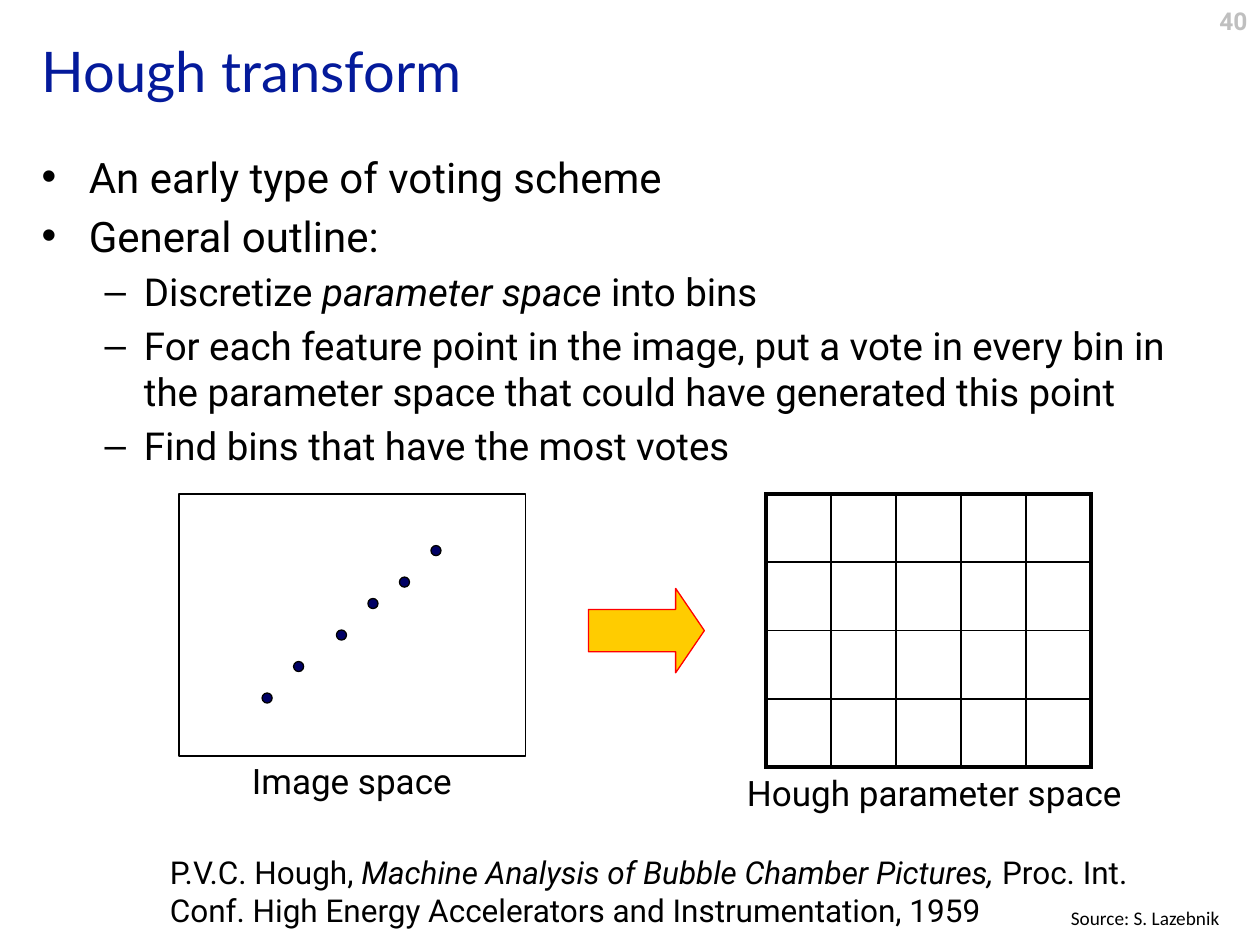
from lxml.etree import SubElement
from pptx import Presentation
from pptx.dml.color import RGBColor
from pptx.enum.shapes import MSO_SHAPE as Preset
from pptx.enum.text import MSO_ANCHOR as Anchor, MSO_AUTO_SIZE as AutoSize, PP_ALIGN as Align
from pptx.oxml.ns import qn
from pptx.util import Inches, Pt


def color(hex_string):
    return RGBColor.from_string(hex_string)


def write(paragraph, text, size=18, font="Roboto", fill="000000", bold=False, italic=False):
    run = paragraph.add_run()
    run.text = text
    run.font.size = Pt(size)
    run.font.name = font
    run.font.bold = bold
    run.font.italic = italic
    run.font.color.rgb = color(fill)


class SlideBuilder:
    ink = "000000"
    thin, thick = 1, 2.25

    def __init__(self, slide):
        self.slide = slide

    def place(self, holder, left, top, width, height):
        holder.left, holder.top = Inches(left), Inches(top)
        holder.width, holder.height = Inches(width), Inches(height)
        holder.text_frame.auto_size = AutoSize.NONE
        return holder.text_frame

    def title(self, text, box, **style):
        frame = self.place(self.slide.shapes.title, *box)
        frame.vertical_anchor = Anchor.MIDDLE
        frame.paragraphs[0].alignment = Align.LEFT
        write(frame.paragraphs[0], text, **style)

    def outline(self, items, box, sizes):
        frame = self.place(self.slide.placeholders[1], *box)
        for index, (level, parts) in enumerate(items):
            paragraph = frame.add_paragraph() if index else frame.paragraphs[0]
            paragraph.level = level
            for text, italic in parts:
                write(paragraph, text, size=sizes[level], italic=italic)

    def label(self, parts, box, align=Align.LEFT, wrap=True, anchor=Anchor.TOP, **style):
        frame = self.slide.shapes.add_textbox(*map(Inches, box)).text_frame
        frame.word_wrap = wrap
        frame.vertical_anchor = anchor
        frame.paragraphs[0].alignment = align
        for text, italic in parts:
            write(frame.paragraphs[0], text, italic=italic, **style)

    def shape(self, preset, box, fill=None, line=ink):
        shape = self.slide.shapes.add_shape(preset, *map(Inches, box))
        shape.shadow.inherit = False
        if fill:
            shape.fill.solid()
            shape.fill.fore_color.rgb = color(fill)
        else:
            shape.fill.background()
        shape.line.color.rgb = color(line)
        shape.line.width = Pt(0.75)
        return shape

    def border(self, cell, side, width):
        edge = SubElement(cell._tc.get_or_add_tcPr(), qn(f"a:{side}"), w=str(Pt(width)))
        SubElement(SubElement(edge, qn("a:solidFill")), qn("a:srgbClr"), val=self.ink)

    def grid(self, rows, columns, box):
        table = self.slide.shapes.add_table(rows, columns, *map(Inches, box)).table
        table.first_row = table.horz_banding = False
        for r in range(rows):
            for c in range(columns):
                cell = table.cell(r, c)
                outer = {"lnL": c == 0, "lnR": c == columns - 1, "lnT": r == 0, "lnB": r == rows - 1}
                for side, is_outer in outer.items():
                    self.border(cell, side, self.thick if is_outer else self.thin)
                cell.fill.background()


def main():
    deck = Presentation()
    deck.slide_width, deck.slide_height = Inches(10), Inches(7.5)
    page = SlideBuilder(deck.slides.add_slide(deck.slide_layouts[1]))

    page.label([("40", False)], (7.67, 0, 2.33, 0.4), align=Align.RIGHT,
               size=14, fill="BFBFBF", bold=True)
    page.title("Hough transform", (0.23, 0.18, 9.54, 0.76), size=32, font="Lato", fill="041A9B")
    page.outline([
        (0, [("An early type of voting scheme", False)]),
        (0, [("General outline:", False)]),
        (1, [("Discretize ", False), ("parameter space ", True), ("into bins", False)]),
        (1, [("For each feature point in the image, put a vote in every bin in the "
              "parameter space that could have generated this point", False)]),
        (1, [("Find bins that have the most votes", False)]),
    ], (0.23, 1.15, 9.54, 5.77), sizes=(24, 22))
    page.label([
        ("P.V.C. Hough, ", False),
        ("Machine Analysis of Bubble Chamber Pictures,", True),
        (" Proc. Int. Conf. High Energy Accelerators and Instrumentation, 1959", False),
    ], (1.25, 6.72, 7.8, 0.7), anchor=Anchor.MIDDLE)

    page.shape(Preset.RECTANGLE, (1.42, 3.92, 2.75, 2.08))
    arrow = page.shape(Preset.RIGHT_ARROW, (4.67, 4.67, 0.92, 0.67), fill="FFCC00", line="FF0000")
    arrow.adjustments[1] = 0.34
    page.grid(4, 5, (6.08, 3.92, 2.58, 2.17))
    feature_points = [(2.08, 5.5), (2.33, 5.25), (2.67, 5), (2.92, 4.75), (3.17, 4.58), (3.42, 4.33)]
    for left, top in feature_points:
        page.shape(Preset.OVAL, (left, top, 0.08, 0.08), fill="000065")

    page.label([("Image space", False)], (1.9, 5.98, 1.79, 0.43), wrap=False, size=20)
    page.label([("Hough parameter space", False)], (5.83, 6.07, 3.18, 0.43), wrap=False, size=20)
    page.label([("Source: S. Lazebnik", False)], (8.4, 7.14, 1.5, 0.29), size=11, font="Calibri")

    deck.save("out.pptx")


if __name__ == "__main__":
    main()
